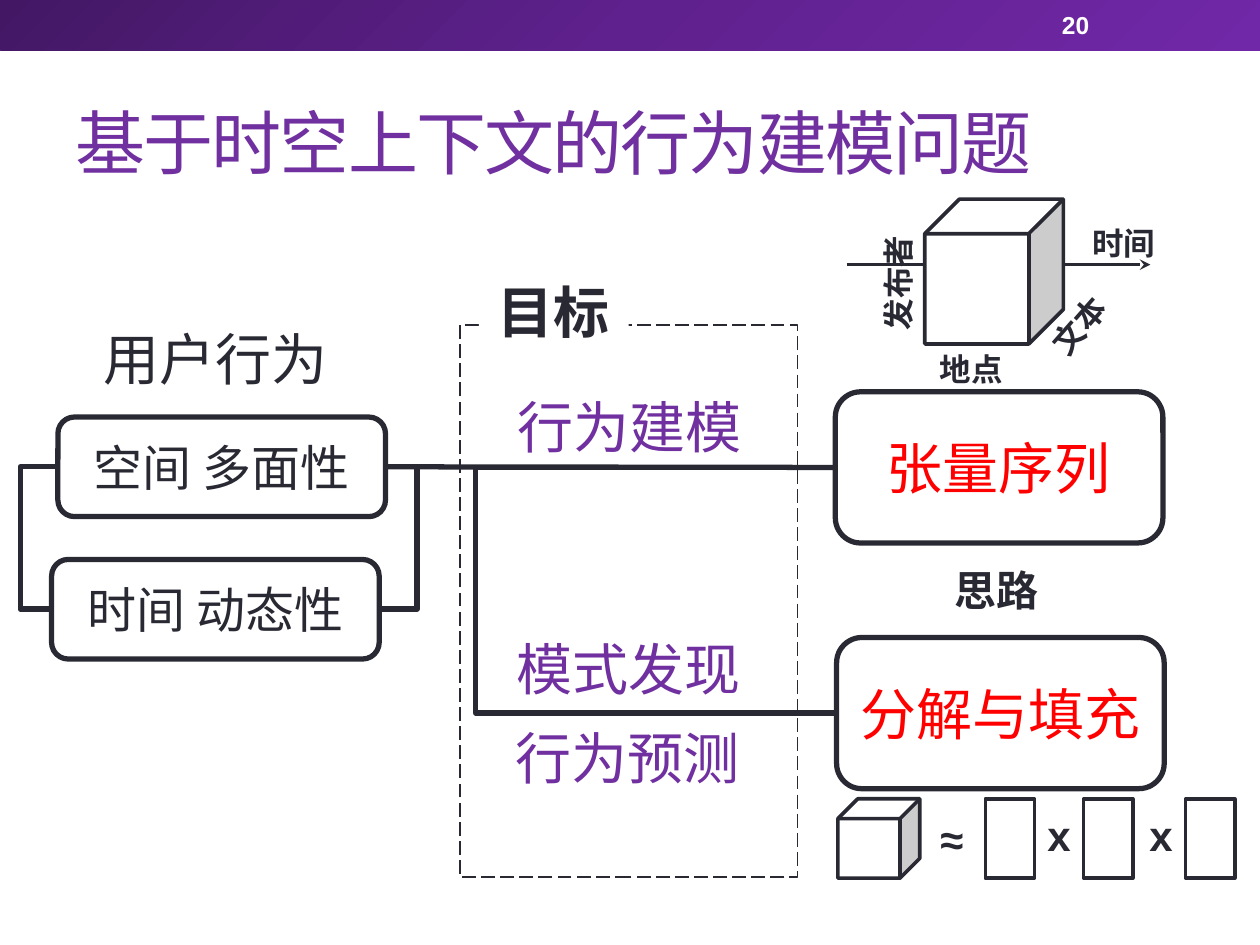
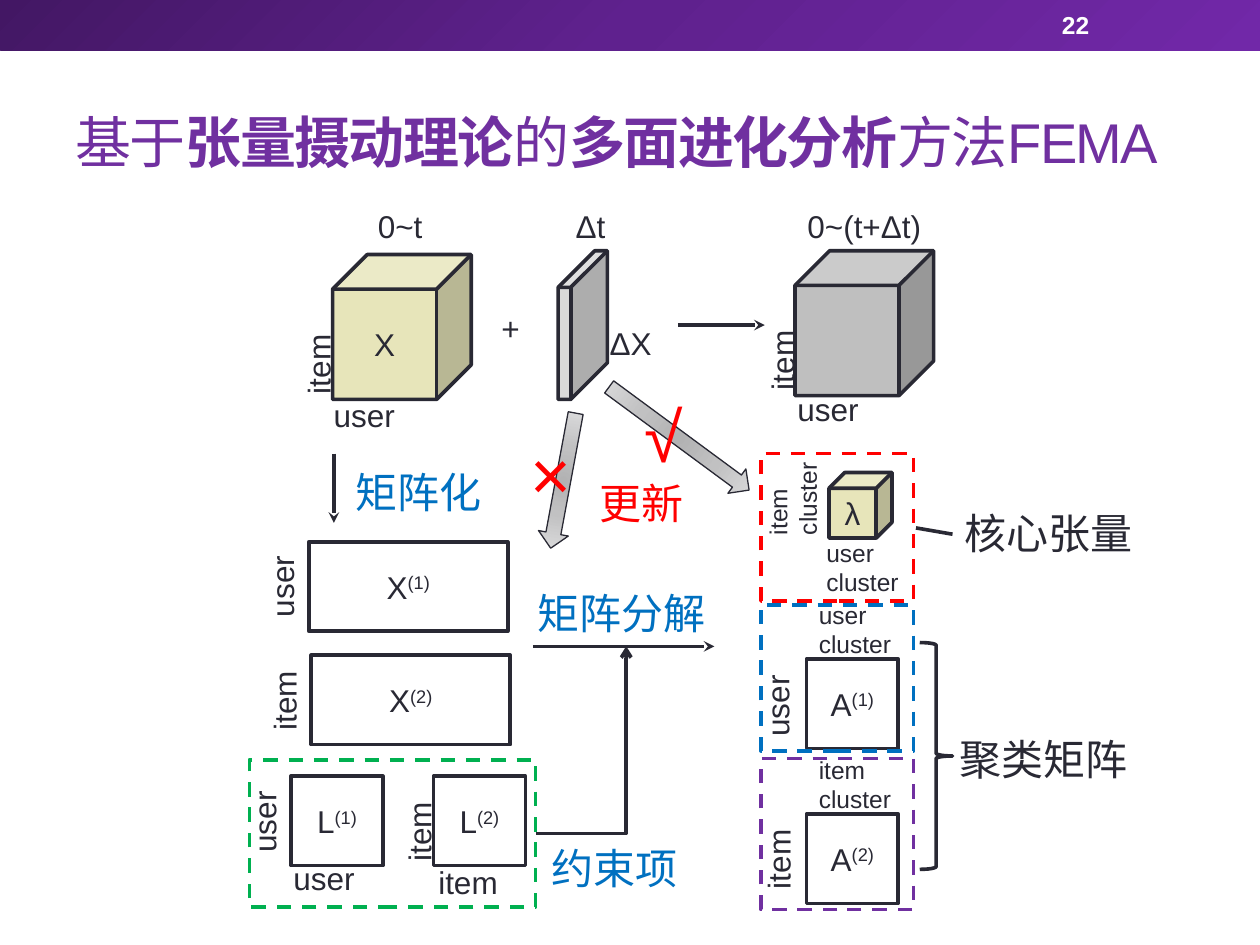
import pptx
import pptx.util
import pptx.dml.color
import pptx.enum.dml
import pptx.enum.shapes
import pptx.enum.text
import pptx.oxml.ns
from lxml import etree

Inches = pptx.util.Inches
Pt = pptx.util.Pt
qn = pptx.oxml.ns.qn
Kind = pptx.enum.shapes.MSO_SHAPE
Wire = pptx.enum.shapes.MSO_CONNECTOR
Dash = pptx.enum.dml.MSO_LINE
Align = pptx.enum.text.PP_ALIGN
Anchor = pptx.enum.text.MSO_ANCHOR
Fit = pptx.enum.text.MSO_AUTO_SIZE
RGB = pptx.dml.color.RGBColor.from_string

HUES = {
    "ink": "292934", "white": "FFFFFF", "violet": "7030A0", "red": "FF0000",
    "blue": "0070C0", "green": "00B050", "cream": "E7E5BA", "pale": "D9D9D9",
    "gray": "BFBFBF",
}
BAND = [(0, "431764"), (50, "5F218E"), (100, "7128A8")]
STEEL = [(0, "B2B2B3"), (45, "C1C1C2"), (100, "DDDDDE")]
CJK = "Noto Sans CJK SC"
THIN = 2.08
BOLD = 3


def put(slide, kind, at, text="", size=18, hue="ink", fill=None, edge=None, width=THIN,
        dash=None, turn=0, bold=None, face="Arial", align=None, wrap=True, track=None):
    place = [Inches(n) for n in at]
    if kind is None:
        shape = slide.shapes.add_textbox(*place)
    else:
        shape = slide.shapes.add_shape(kind, *place)
        shape.shadow.inherit = False
        align = Align.CENTER
        if isinstance(fill, list):
            shape.fill.gradient()
            grad = shape._element.spPr.find(qn("a:gradFill"))
            del grad[:]
            stops = etree.SubElement(grad, qn("a:gsLst"))
            for pos, tone in fill:
                stop = etree.SubElement(stops, qn("a:gs"), pos=str(pos * 1000))
                etree.SubElement(stop, qn("a:srgbClr"), val=tone)
            if fill is BAND:
                etree.SubElement(grad, qn("a:lin"), ang="2700000", scaled="0")
            else:
                way = etree.SubElement(grad, qn("a:path"), path="circle")
                etree.SubElement(way, qn("a:fillToRect"), **dict.fromkeys("ltrb", "100000"))
        elif fill:
            shape.fill.solid()
            shape.fill.fore_color.rgb = RGB(HUES[fill])
        else:
            shape.fill.background()
        if edge:
            shape.line.color.rgb = RGB(HUES[edge])
            shape.line.width = Pt(width)
            if dash:
                shape.line.dash_style = dash
        else:
            shape.line.fill.background()
    shape.rotation = turn
    if not text:
        return shape
    frame = shape.text_frame
    frame.word_wrap = wrap
    frame.vertical_anchor = Anchor.MIDDLE if wrap else Anchor.TOP
    if not wrap:
        frame.auto_size = Fit.SHAPE_TO_FIT_TEXT
    for i, row in enumerate(text.split("\n")):
        para = frame.add_paragraph() if i else frame.paragraphs[0]
        para.alignment = align
        font = para.font
        font.size, font.name, font.bold = Pt(size), face, bold
        font.color.rgb = RGB(HUES[hue])
        etree.SubElement(font._element, qn("a:ea"), typeface=CJK)
        if track:
            font._element.set("spc", str(track))
        for j, part in enumerate(row.split("|")):
            run = para.add_run()
            run.text = part
            if j % 2 and part.startswith("("):
                run.font._element.set("baseline", "30000")
            elif j % 2:
                run.font.bold = True
    return shape


def link(slide, start, stop, width=THIN, tip=None, via=None, bend=False):
    kind = Wire.ELBOW if via or bend else Wire.STRAIGHT
    ends = [(0, 0) if hasattr(e[0], "shape_id") else e for e in (start, stop)]
    line = slide.shapes.add_connector(kind, *[Inches(n) for e in ends for n in e])
    if hasattr(start[0], "shape_id"):
        line.begin_connect(*start)
    if hasattr(stop[0], "shape_id"):
        line.end_connect(*stop)
    line.line.color.rgb = RGB(HUES["ink"])
    line.line.width = Pt(width)
    props = line._element.spPr
    geom = props.find(qn("a:prstGeom"))
    if bend:
        geom.set("prst", "bentConnector2")
    if via:
        ratio = (Inches(via) - line.begin_x) / (line.end_x - line.begin_x)
        etree.SubElement(geom.find(qn("a:avLst")), qn("a:gd"),
                         name="adj1", fmla=f"val {round(ratio * 100000)}")
    if tip:
        etree.SubElement(props.find(qn("a:ln")), qn("a:tailEnd"), type=tip)
    etree.SubElement(props, qn("a:effectLst"))


deck = pptx.Presentation()
deck.slide_width, deck.slide_height = Inches(10), Inches(7.5)

pages = []
for num, title, size in [
    ("20", "基于时空上下文的行为建模问题", 40),
    ("22", "基于|张量摄动理论|的|多面进化分析|方法FEMA", 32),
]:
    page = deck.slides.add_slide(deck.slide_layouts[6])
    put(page, Kind.RECTANGLE, (0, 0, 10, 0.4), fill=BAND)
    put(page, None, (0.5, 0.58, 9, 1.08), title, size, "violet", track=-100)
    put(page, None, (8.33, 0.02, 1.17, 0.36), num, 14, "white", bold=True)
    pages.append(page)
goals, method = pages

put(goals, Kind.ROUNDED_RECTANGLE, (0.41, 2.46, 2.6, 0.77), "用户行为", 32, fill="white")
space, time, series, split = [
    put(goals, Kind.ROUNDED_RECTANGLE, (x, y, 2.6, h), text, size, hue, "white", "ink", BOLD)
    for x, y, h, text, size, hue in [
        (0.46, 3.31, 0.79, "空间 多面性", 28, "ink"),
        (0.41, 4.44, 0.79, "时间 动态性", 28, "ink"),
        (6.63, 3.11, 1.2, "张量序列", 32, "red"),
        (6.64, 5.06, 1.2, "分解与填充", 32, "red"),
    ]
]
link(goals, (time, 1), (space, 1), BOLD, via=0.16)
link(goals, (time, 3), (space, 3), BOLD, via=3.31)
link(goals, (space, 3), (series, 1), BOLD)
link(goals, (split, 1), (series, 1), BOLD, via=3.73)

for x, y, w, text in [
    (3.49, 5.05, 3, "模式发现"), (3.38, 5.76, 3.2, "行为预测"), (3.81, 3.13, 2.37, "行为建模"),
]:
    put(goals, None, (x, y, w, 0.5), text, 32, "violet", face=CJK, align=Align.CENTER)
put(goals, Kind.RECTANGLE, (3.65, 2.58, 2.68, 4.38), edge="ink", width=1, dash=Dash.LONG_DASH)
for x, y, text, size in [(3.8, 2.18, "目标", 32), (7.31, 4.39, "思路", 24)]:
    put(goals, Kind.RECTANGLE, (x, y, 1.19, 0.58), text, size, fill="white", bold=True, face=CJK)

put(goals, Kind.CUBE, (7.34, 1.58, 1.1, 1.15), fill="white", edge="ink")
for x, y, w, text, turn in [
    (7.36, 2.73, 0.71, "地点", 0), (6.65, 2.04, 0.96, "发布者", 270),
    (8.21, 2.38, 0.71, "文本", 311.3), (8.57, 1.73, 0.71, "时间", 0),
]:
    put(goals, None, (x, y, w, 0.4), text, turn=turn, bold=True, wrap=False)
link(goals, (6.72, 2.1), (7.33, 2.1))
link(goals, (8.44, 2.1), (9.13, 2.1), tip="stealth")

put(goals, Kind.CUBE, (6.65, 6.34, 0.65, 0.63), fill="white", edge="ink")
for x in (7.82, 8.6, 9.41):
    put(goals, Kind.RECTANGLE, (x, 6.34, 0.39, 0.63), fill="white", edge="ink")
for x, y, sign in [(7.36, 6.49, "≈"), (8.21, 6.46, "x"), (9.02, 6.46, "x")]:
    put(goals, None, (x, y, 0.39, 0.33), sign, 24, bold=True, align=Align.CENTER)

for x, y, w, h, text, fill in [
    (2.64, 2.02, 1.1, 1.15, "X", "cream"),
    (6.31, 1.99, 1.1, 1.15, "", "gray"),
    (6.58, 3.75, 0.5, 0.52, "λ", "cream"),
]:
    put(method, Kind.CUBE, (x, y, w, h), text, fill=fill, edge="ink")
slab = put(method, Kind.CUBE, (4.43, 1.99, 0.39, 1.18), fill="pale", edge="ink")
slab.adjustments[0] = 0.744

for x, y, w, text in [
    (6.4, 5.23, 0.73, "A|(1)"), (6.4, 6.46, 0.73, "A|(2)"),
    (2.45, 4.3, 1.58, "X|(1)"), (2.47, 5.2, 1.58, "X|(2)"),
    (2.31, 6.16, 0.73, "L|(1)"), (3.44, 6.16, 0.73, "L|(2)"),
]:
    put(method, Kind.RECTANGLE, (x, y, w, 0.71), text, fill="white", edge="ink")

for x, y, h, turn in [(4.35, 3.27, 1.09, 10.5), (5.27, 2.79, 1.38, 306.4)]:
    put(method, Kind.DOWN_ARROW, (x, y, 0.24, h), fill=STEEL, edge="ink", width=0.75, turn=turn)

for x, y, text, turn in [
    (2.55, 3.09, "user", 0), (2.18, 2.68, "item", 270),
    (6.23, 3.05, "user", 0), (5.86, 2.65, "item", 270),
    (5.82, 5.4, "user", 270), (5.83, 6.61, "item", 270),
    (1.89, 4.45, "user", 270), (1.91, 5.35, "item", 270),
    (2.23, 6.77, "user", 0), (2.98, 6.39, "item", 270),
    (3.38, 6.8, "item", 0), (1.75, 6.32, "user", 270),
]:
    put(method, None, (x, y, 0.69, 0.4), text, turn=turn, wrap=False)
for x, y, w, text in [
    (2.9, 1.59, 0.57, "0~t"), (4.47, 1.59, 0.44, "Δt"), (6.31, 1.59, 1.16, "0~(t+Δt)"),
    (3.88, 2.4, 0.35, "+"), (4.74, 2.52, 0.55, "ΔX"),
]:
    put(method, None, (x, y, w, 0.4), text, wrap=False)
for x, y, text, turn in [
    (6.4, 4.71, "user", 0), (6.4, 5.94, "item", 0), (6.46, 4.22, "user", 0), (5.9, 3.67, "item", 270),
]:
    put(method, None, (x, y, 0.78, 0.57), text + "\ncluster", 14, turn=turn, wrap=False)

core, left, right, bound = [
    put(method, Kind.RECTANGLE, at, edge=hue, dash=Dash.DASH)
    for at, hue in [
        ((6.04, 3.6, 1.21, 1.17), "red"), ((6.04, 4.8, 1.21, 1.16), "blue"),
        ((6.04, 6.02, 1.21, 1.2), "violet"), ((1.98, 6.03, 2.27, 1.17), "green"),
    ]
]
put(method, Kind.RIGHT_BRACE, (7.3, 5.1, 0.26, 1.8), edge="ink")
for start, stop in [((5.38, 2.58), (6.07, 2.58)), ((2.65, 3.6), (2.65, 4.15)), ((4.23, 5.13), (5.67, 5.13))]:
    link(method, start, stop, tip="stealth")
link(method, (7.27, 4.19), (7.56, 4.24))
link(method, (bound, 3), (4.97, 5.13), tip="arrow", bend=True)

for x, y, w, text, hue in [
    (2.72, 3.65, 1.21, "矩阵化", "blue"), (4.17, 4.61, 1.55, "矩阵分解", "blue"),
    (4.28, 6.64, 1.21, "约束项", "blue"), (4.66, 3.74, 0.88, "更新", "red"),
    (7.56, 3.98, 1.55, "核心张量", "ink"), (7.52, 5.77, 1.55, "聚类矩阵", "ink"),
]:
    put(method, None, (x, y, w, 0.5), text, 24, hue, wrap=False)
for x, y, w, sign in [(4.11, 3.37, 0.76, "×"), (5.02, 3.07, 0.51, "√")]:
    put(method, None, (x, y, w, 0.77), sign, 40, "red", wrap=False)

deck.save("out.pptx")
